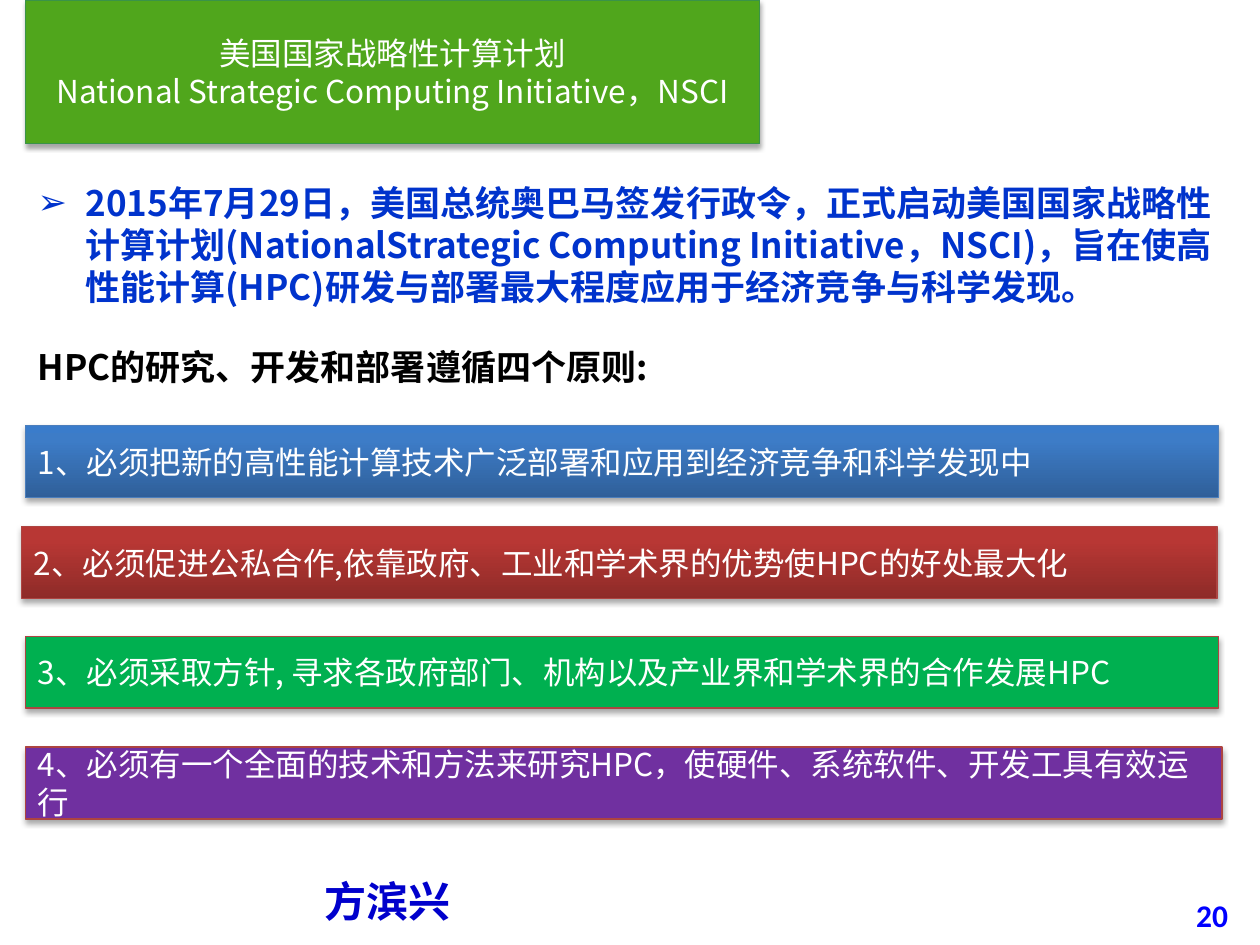
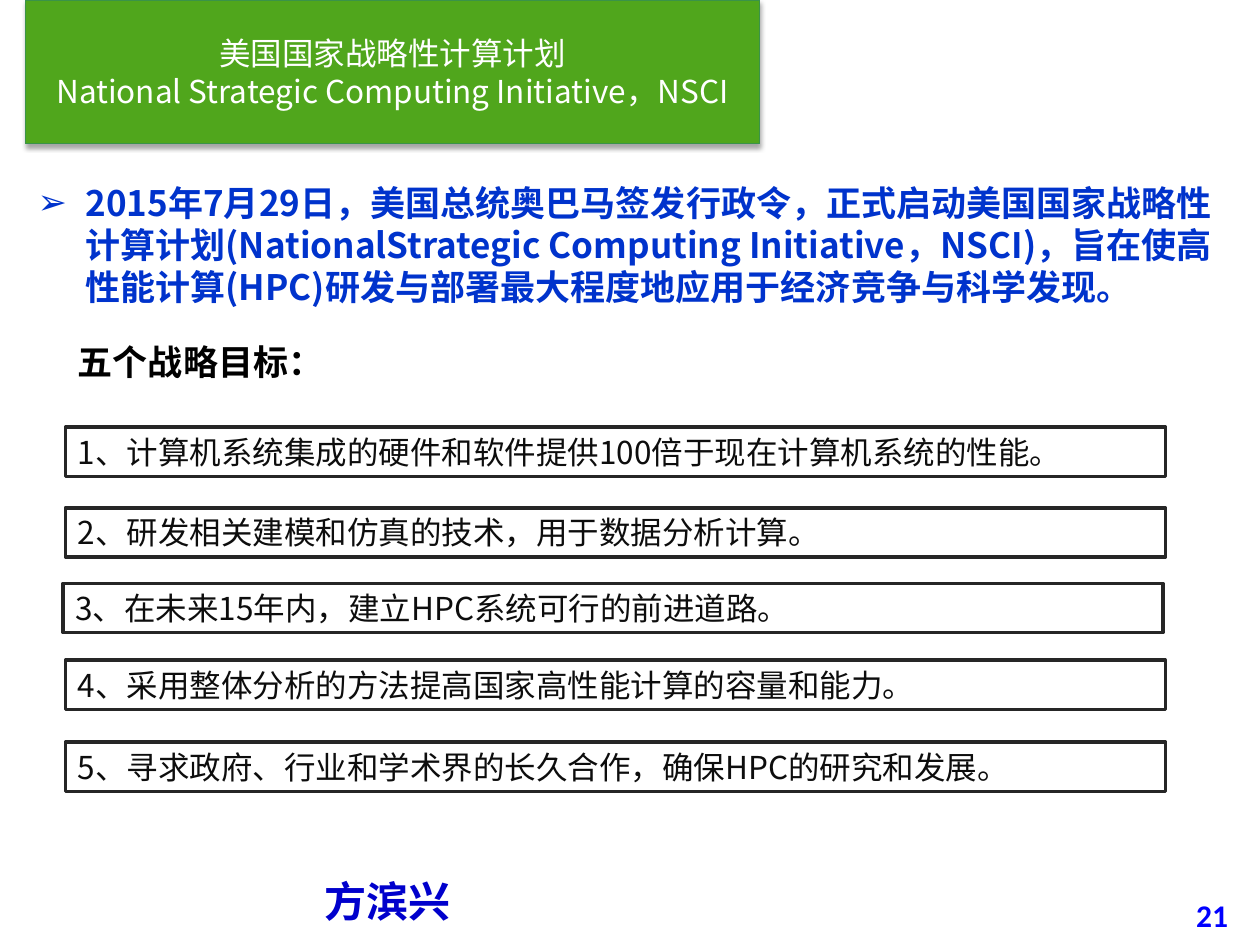
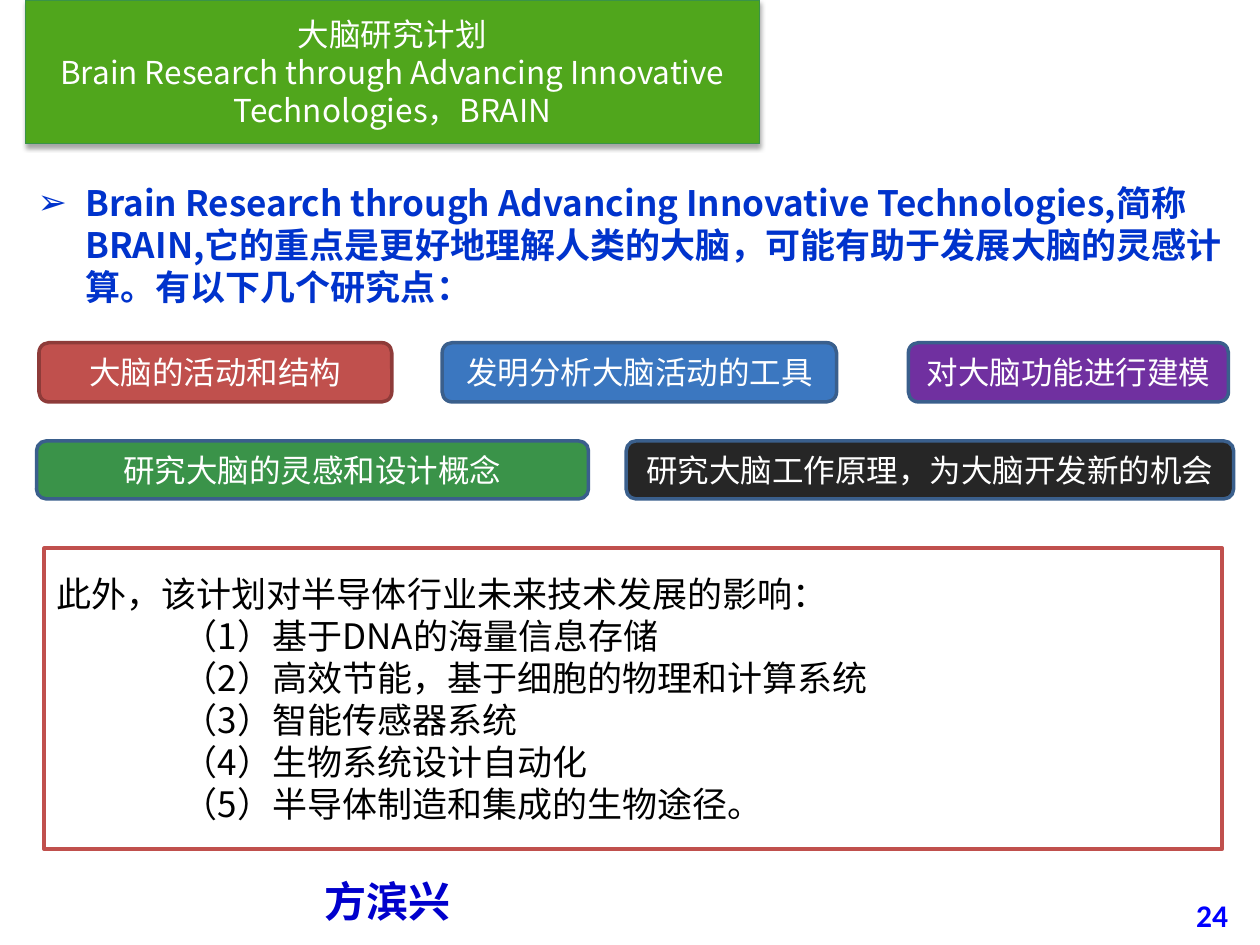
"""Builds three slides on national computing and brain research plans."""
from dataclasses import dataclass

from lxml.etree import SubElement
from pptx import Presentation
from pptx.dml.color import RGBColor
from pptx.enum.shapes import MSO_SHAPE as Kind
from pptx.enum.text import MSO_ANCHOR as Anchor, MSO_AUTO_SIZE as Fit, PP_ALIGN as Align
from pptx.oxml.ns import qn
from pptx.util import Pt

PX = 9144
CJK = "Noto Sans CJK SC"
WHITE, BLACK, INK, NEAR = "FFFFFF", "000000", "262626", "0D0D0D"
GREEN, EDGE, BLUE = "50A61C", "3A9349", "0033CC"
NAVY, PAGE = "0000CC", "0000FF"
RED, STEEL, PURPLE = "C0504D", "3A5F8C", "7030A0"
PLAN = "美国国家战略性计算计划\nNational Strategic Computing Initiative，NSCI"
ORDER = ("2015年7月29日，美国总统奥巴马签发行政令，正式启动美国国家战略性计算计划"
         "(NationalStrategic Computing Initiative，NSCI)，旨在使高性能计算(HPC)"
         "研发与部署最大程度{}应用于经济竞争与科学发现。")


@dataclass(frozen=True)
class Box:
    left: int
    top: int
    width: int
    height: int

    def emu(self) -> list[int]:
        return [n * PX for n in (self.left, self.top, self.width, self.height)]


@dataclass(frozen=True)
class Panel:
    box: Box
    text: str
    fill: str | tuple[str, str, str]
    line: str
    weight: float = 2
    kind: Kind = Kind.RECTANGLE
    shade: bool = False
    ink: str = WHITE
    size: int = 18
    align: Align = Align.LEFT
    inset: int = 0


def tint(code: str) -> RGBColor:
    return RGBColor.from_string(code)


def write(shape, text: str, *, size: int = 18, color: str = BLACK, bold: bool = False,
          font: str = CJK, align: Align = Align.LEFT, anchor: Anchor = Anchor.TOP,
          grow: bool = False, bullet: str = "", inset: int = 0) -> None:
    frame = shape.text_frame
    frame.word_wrap = True
    frame.vertical_anchor = anchor
    if grow:
        frame.auto_size = Fit.SHAPE_TO_FIT_TEXT
    for i, line in enumerate(text.split("\n")):
        para = frame.add_paragraph() if i else frame.paragraphs[0]
        para.alignment = align
        props = para._p.get_or_add_pPr()
        if bullet:
            props.set("marL", str(38 * PX))
            props.set("indent", str(-38 * PX))
            SubElement(props, qn("a:buFont"), typeface="Arial")
            SubElement(props, qn("a:buChar"), char=bullet)
        elif inset and i:
            props.set("marL", str(inset * PX))
        run = para.add_run()
        run.text = line
        face = run.font
        face.size, face.bold, face.name = Pt(size), bold, font
        face.color.rgb = tint(color)
        SubElement(run._r.get_or_add_rPr(), qn("a:ea"), typeface=CJK)


def label(slide, box: Box, text: str, **style) -> None:
    write(slide.shapes.add_textbox(*box.emu()), text, **style)


def blend(shape, stops: tuple[str, str, str]) -> None:
    shape.fill.gradient()
    shape.fill.gradient_angle = 90
    ramp = shape.element.spPr.find(".//" + qn("a:gsLst"))
    for stop in list(ramp):
        ramp.remove(stop)
    for place, code in zip((0, 80, 100), stops):
        stop = SubElement(ramp, qn("a:gs"), pos=str(place * 1000))
        SubElement(stop, qn("a:srgbClr"), val=code)


def cast(shape) -> None:
    glow = SubElement(shape.element.spPr.find(qn("a:effectLst")), qn("a:outerShdw"),
                      blurRad=str(Pt(3.1)), dist=str(Pt(1.8)), dir="5400000", rotWithShape="0")
    shade = SubElement(glow, qn("a:srgbClr"), val=BLACK)
    SubElement(shade, qn("a:alpha"), val="35000")


def draw(slide, item: Panel) -> None:
    shape = slide.shapes.add_shape(item.kind, *item.box.emu())
    shape.shadow.inherit = False
    if isinstance(item.fill, tuple):
        blend(shape, item.fill)
    else:
        shape.fill.solid()
        shape.fill.fore_color.rgb = tint(item.fill)
    shape.line.color.rgb = tint(item.line)
    shape.line.width = Pt(item.weight)
    if item.shade:
        cast(shape)
    write(shape, item.text, size=item.size, color=item.ink, align=item.align,
          anchor=Anchor.MIDDLE, inset=item.inset)


def start(deck, page: int, title: str, lead: str):
    slide = deck.slides.add_slide(deck.slide_layouts[6])
    label(slide, Box(917, 706, 90, 40), str(page), color=PAGE, bold=True,
          font="Calibri", align=Align.CENTER, grow=True)
    label(slide, Box(248, 690, 189, 50), "方滨兴", size=24, color=NAVY, bold=True,
          font="Arial", anchor=Anchor.BOTTOM)
    label(slide, Box(20, 139, 961, 536), lead, size=20, color=BLUE, bold=True, bullet="➢")
    draw(slide, Panel(Box(20, 0, 583, 114), title, GREEN, EDGE, 0.75,
                      shade=True, align=Align.CENTER))
    return slide


def rules(deck) -> None:
    slide = start(deck, 20, PLAN, ORDER.format(""))
    label(slide, Box(20, 269, 551, 44), "HPC的研究、开发和部署遵循四个原则:",
          size=20, bold=True, grow=True)
    bars = [
        (20, 338, 947, ("2F5F99", "3D7CC7", "3A7CCB"), "4B7EBC",
         "1、必须把新的高性能计算技术广泛部署和应用到经济竞争和科学发现中"),
        (17, 418, 949, ("8E2B28", "B83734", "BB3531"), "AD4441",
         "2、必须促进公私合作,依靠政府、工业和学术界的优势使HPC的好处最大化"),
        (20, 505, 947, "00B050", "AD4441",
         "3、必须采取方针, 寻求各政府部门、机构以及产业界和学术界的合作发展HPC"),
        (20, 593, 950, PURPLE, "AD4441",
         "4、必须有一个全面的技术和方法来研究HPC，使硬件、系统软件、开发工具有效运行"),
    ]
    for left, top, width, fill, line, text in bars:
        draw(slide, Panel(Box(left, top, width, 57), text, fill, line, 0.75, shade=True))


def goals(deck) -> None:
    slide = start(deck, 21, PLAN, ORDER.format("地"))
    rows = [
        (52, 339, "1、计算机系统集成的硬件和软件提供100倍于现在计算机系统的性能。"),
        (52, 403, "2、研发相关建模和仿真的技术，用于数据分析计算。"),
        (50, 463, "3、在未来15年内，建立HPC系统可行的前进道路。"),
        (52, 524, "4、采用整体分析的方法提高国家高性能计算的容量和能力。"),
        (52, 589, "5、寻求政府、行业和学术界的长久合作，确保HPC的研究和发展。"),
    ]
    for left, top, text in rows:
        draw(slide, Panel(Box(left, top, 873, 39), text, WHITE, INK, ink=NEAR))
    label(slide, Box(52, 265, 444, 44), "五个战略目标：", size=20, bold=True, grow=True)


def brain(deck) -> None:
    slide = start(
        deck, 24,
        "大脑研究计划\nBrain Research through Advancing Innovative Technologies，BRAIN",
        "Brain Research through Advancing Innovative Technologies,简称BRAIN,"
        "它的重点是更好地理解人类的大脑，可能有助于发展大脑的灵感计算。有以下几个研究点：")
    topics = [
        (Box(31, 272, 280, 47), RED, "8E3B39", "大脑的活动和结构"),
        (Box(351, 272, 313, 47), "3B77C0", STEEL, "发明分析大脑活动的工具"),
        (Box(721, 272, 254, 47), PURPLE, STEEL, "对大脑功能进行建模"),
        (Box(29, 350, 438, 46), EDGE, STEEL, "研究大脑的灵感和设计概念"),
        (Box(497, 350, 482, 46), INK, STEEL, "研究大脑工作原理，为大脑开发新的机会"),
    ]
    for box, fill, line, text in topics:
        draw(slide, Panel(box, text, fill, line, kind=Kind.ROUNDED_RECTANGLE,
                          align=Align.CENTER))
    effects = "\n".join([
        "此外，该计划对半导体行业未来技术发展的影响：",
        "（1）基于DNA的海量信息存储",
        "（2）高效节能，基于细胞的物理和计算系统",
        "（3）智能传感器系统",
        "（4）生物系统设计自动化",
        "（5）半导体制造和集成的生物途径。",
    ])
    draw(slide, Panel(Box(35, 435, 935, 239), effects, WHITE, RED,
                      ink=BLACK, size=20, inset=100))


def main() -> None:
    deck = Presentation()
    deck.slide_width, deck.slide_height = 1000 * PX, 750 * PX
    for build in (rules, goals, brain):
        build(deck)
    deck.save("out.pptx")


if __name__ == "__main__":
    main()
